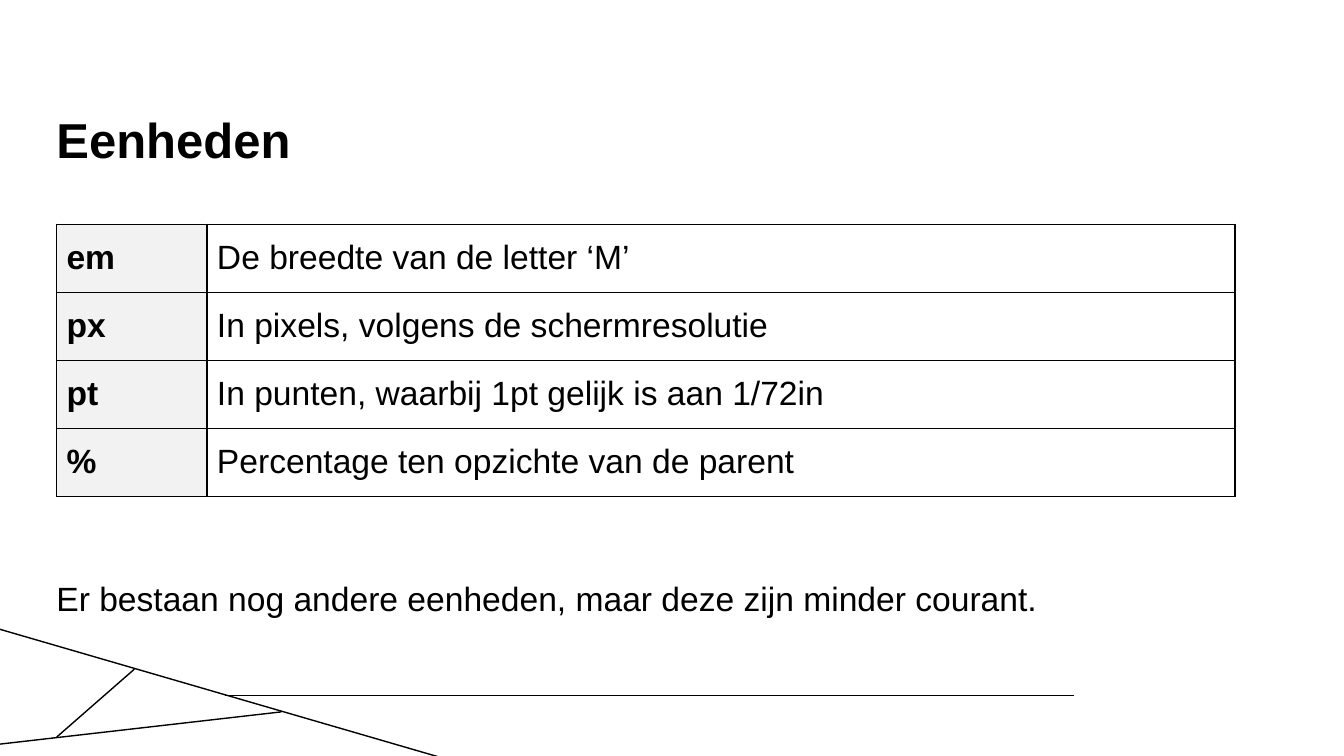
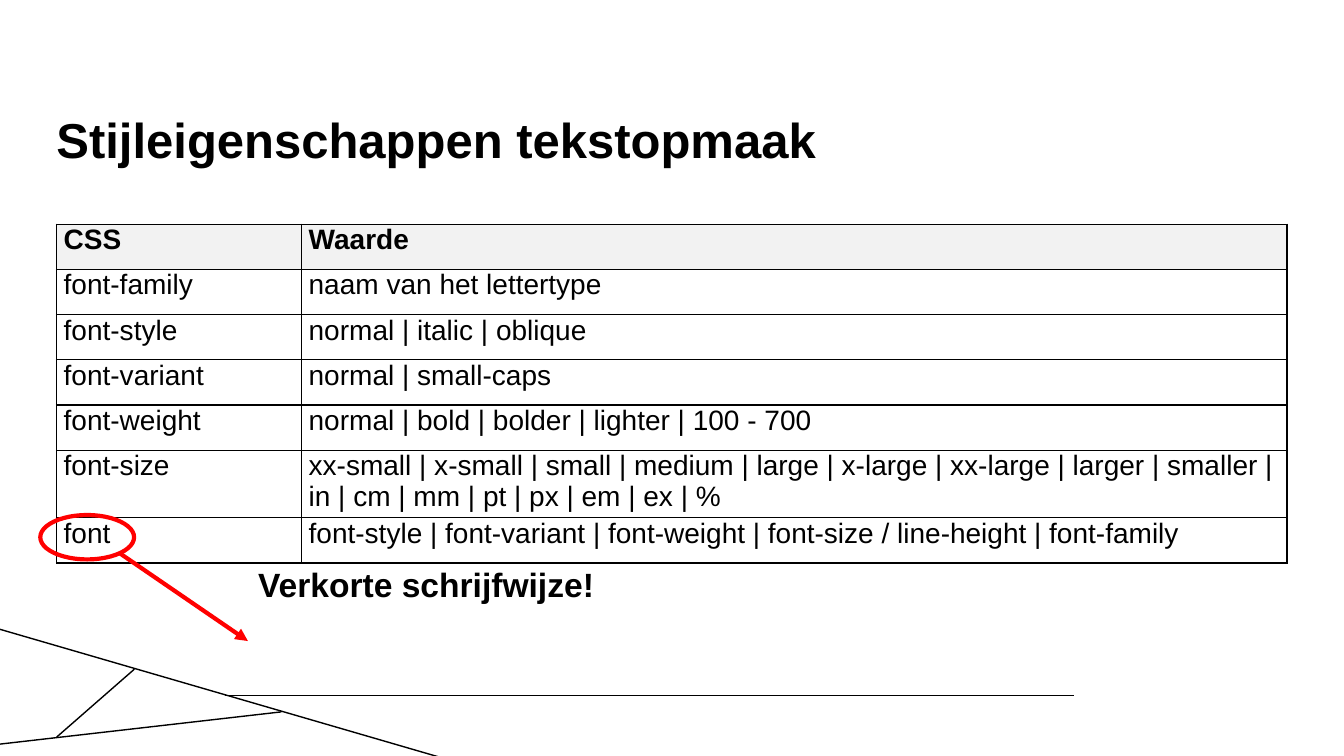
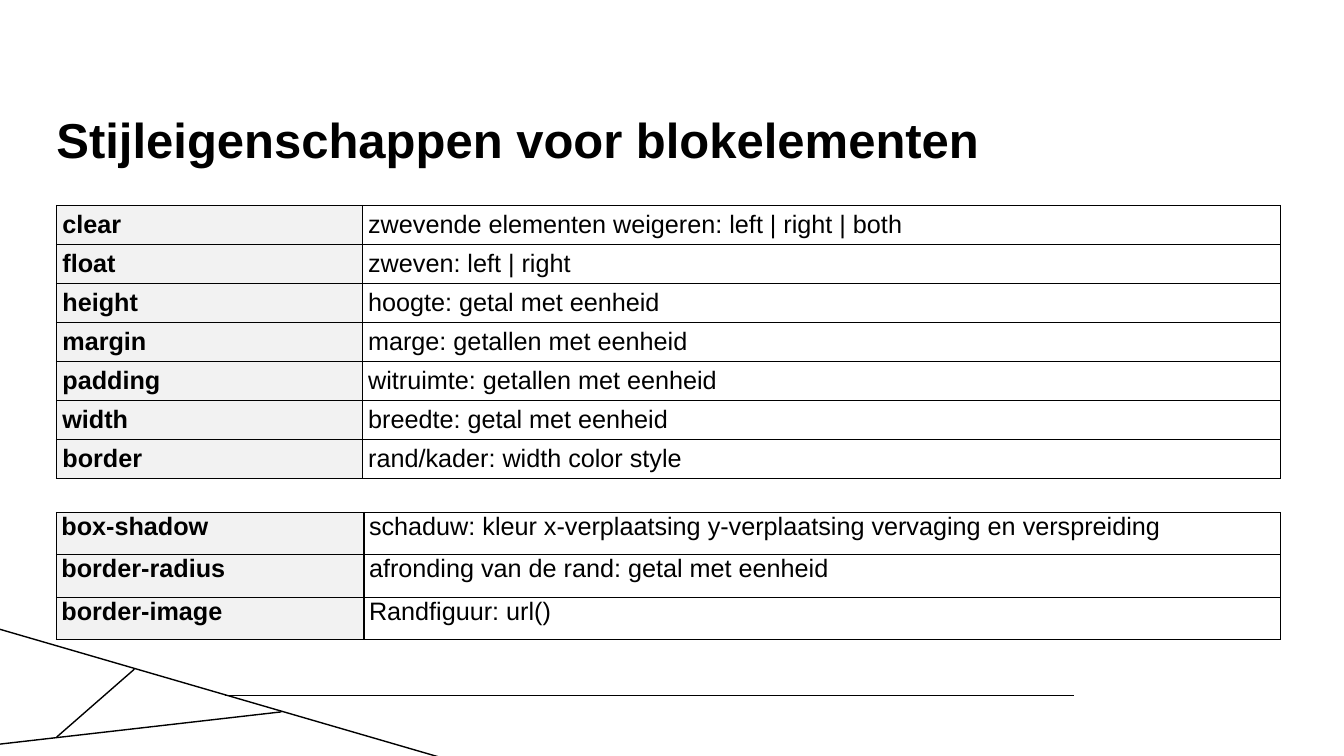
import lxml.etree
import pptx
import pptx.dml.color
import pptx.enum.shapes
import pptx.enum.text
import pptx.oxml
import pptx.oxml.ns
import pptx.util

Pt = pptx.util.Pt
ANCHOR = pptx.enum.text.MSO_ANCHOR


def color(hex_string):
    return pptx.dml.color.RGBColor.from_string(hex_string)


class Deck:
    """Holds the shared style and the slide being built."""
    FONT = "Arial"
    INK = "000000"
    LABEL_FILL = "F2F2F2"
    ACCENT = "FF0000"
    LEFT = 40.3
    CONTENT_WIDTH = 878.4
    BACKDROP_LINES = [
        (160.5, 497, 767.5, 497),
        (0, 531.5, 201, 508.5),
        (-3.5, 448.5, 318, 542),
        (96, 478, 40.5, 526.5),
    ]

    def __init__(self):
        self.presentation = pptx.Presentation()
        self.presentation.slide_width = Pt(960)
        self.presentation.slide_height = Pt(540)
        self.slide = None

    def new_slide(self, title):
        self.slide = self.presentation.slides.add_slide(self.presentation.slide_layouts[6])
        for ends in self.BACKDROP_LINES:
            self.line(*ends)
        self.text(title, self.LEFT, 82.8, self.CONTENT_WIDTH, 77, 35, bold=True, spacing=0.9)

    def style(self, paragraph, size, bold):
        font = paragraph.font
        font.name, font.size, font.bold = self.FONT, Pt(size), bold
        font.color.rgb = color(self.INK)

    def text(self, words, left, top, width, height, size=24, bold=False, spacing=1.0):
        box = self.slide.shapes.add_textbox(Pt(left), Pt(top), Pt(width), Pt(height))
        frame = box.text_frame
        frame.word_wrap = True
        frame.margin_left = frame.margin_right = frame.margin_top = frame.margin_bottom = 0
        paragraph = frame.paragraphs[0]
        paragraph.text = words
        paragraph.line_spacing = spacing
        self.style(paragraph, size, bold)

    def line(self, x1, y1, x2, y2, stroke=INK, weight=1, arrow=False):
        connector = self.slide.shapes.add_connector(
            pptx.enum.shapes.MSO_CONNECTOR.STRAIGHT, Pt(x1), Pt(y1), Pt(x2), Pt(y2))
        connector.line.color.rgb = color(stroke)
        connector.line.width = Pt(weight)
        properties = connector._element.spPr
        if arrow:
            outline = properties.get_or_add_ln()
            lxml.etree.SubElement(outline, pptx.oxml.ns.qn("a:tailEnd"), type="triangle")
        lxml.etree.SubElement(properties, pptx.oxml.ns.qn("a:effectLst"))

    def ring(self, left, top, width, height):
        shape = self.slide.shapes.add_shape(
            pptx.enum.shapes.MSO_SHAPE.OVAL, Pt(left), Pt(top), Pt(width), Pt(height))
        shape.shadow.inherit = False
        shape.fill.background()
        shape.line.color.rgb = color(self.ACCENT)
        shape.line.width = Pt(3)

    def border(self, cell):
        """Draw a thin line on all four sides of a cell."""
        properties = cell._tc.get_or_add_tcPr()
        for index, side in enumerate(("lnL", "lnR", "lnT", "lnB")):
            properties.insert(index, pptx.oxml.parse_xml(
                f'<a:{side} {pptx.oxml.ns.nsdecls("a")} w="12700"><a:solidFill>'
                f'<a:srgbClr val="{self.INK}"/></a:solidFill></a:{side}>'))

    def table(self, rows, top, widths, heights, size, side_margin, end_margin=0,
              anchor=ANCHOR.MIDDLE, header_row=False):
        """Shade and embolden the first row if header_row, else the first column."""
        frame = self.slide.shapes.add_table(
            len(rows), len(widths), Pt(self.LEFT), Pt(top), Pt(sum(widths)), Pt(sum(heights)))
        table = frame.table
        table.first_row = table.horz_banding = False
        for column, width in zip(table.columns, widths):
            column.width = Pt(width)
        for row, height in zip(table.rows, heights):
            row.height = Pt(height)
        for row_index, row in enumerate(rows):
            for column_index, words in enumerate(row):
                cell = table.cell(row_index, column_index)
                is_label = (row_index if header_row else column_index) == 0
                cell.text = words
                cell.vertical_anchor = anchor
                cell.margin_left = cell.margin_right = Pt(side_margin)
                cell.margin_top = cell.margin_bottom = Pt(end_margin)
                self.style(cell.text_frame.paragraphs[0], size, is_label)
                if is_label:
                    cell.fill.solid()
                    cell.fill.fore_color.rgb = color(self.LABEL_FILL)
                else:
                    cell.fill.background()
                self.border(cell)


def units_slide(deck):
    deck.new_slide("Eenheden")
    deck.text("Er bestaan nog andere eenheden, maar deze zijn minder courant.",
              deck.LEFT, 413, deck.CONTENT_WIDTH, 30)
    units = [
        ("em", "De breedte van de letter ‘M’"),
        ("px", "In pixels, volgens de schermresolutie"),
        ("pt", "In punten, waarbij 1pt gelijk is aan 1/72in"),
        ("%", "Percentage ten opzichte van de parent"),
    ]
    deck.table(units, 160.2, [107.5, 734.4], [48.6] * len(units), 24, 7.2, 3.6)


def text_properties_slide(deck):
    deck.new_slide("Stijleigenschappen tekstopmaak")
    deck.text("Verkorte schrijfwijze!", 184.3, 403, 400, 30, bold=True)
    properties = [
        ("CSS", "Waarde"),
        ("font-family", "naam van het lettertype"),
        ("font-style", "normal | italic | oblique"),
        ("font-variant", "normal | small-caps"),
        ("font-weight", "normal | bold | bolder | lighter | 100 - 700"),
        ("font-size", "xx-small | x-small | small | medium | large | x-large | xx-large | "
                      "larger | smaller | in | cm | mm | pt | px | em | ex | %"),
        ("font", "font-style | font-variant | font-weight | font-size / line-height | font-family"),
    ]
    heights = [48.3 if name == "font-size" else 32.3 for name, _ in properties]
    deck.table(properties, 160.2, [175, 704], heights, 20, 5.2,
               anchor=ANCHOR.TOP, header_row=True)
    deck.ring(28.8, 367.9, 67, 31.7)
    deck.line(85.7, 395.3, 177.1, 457.9, deck.ACCENT, 3, arrow=True)


def block_properties_slide(deck):
    deck.new_slide("Stijleigenschappen voor blokelementen")
    box_model = [
        ("clear", "zwevende elementen weigeren: left | right | both"),
        ("float", "zweven: left | right"),
        ("height", "hoogte: getal met eenheid"),
        ("margin", "marge: getallen met eenheid"),
        ("padding", "witruimte: getallen met eenheid"),
        ("width", "breedte: getal met eenheid"),
        ("border", "rand/kader: width color style"),
    ]
    decoration = [
        ("box-shadow", "schaduw: kleur x-verplaatsing y-verplaatsing vervaging en verspreiding"),
        ("border-radius", "afronding van de rand: getal met eenheid"),
        ("border-image", "Randfiguur: url()"),
    ]
    deck.table(box_model, 146.7, [218.4, 655.8], [27.87] * len(box_model), 18, 4.3)
    deck.table(decoration, 366, [219.7, 654.5], [30.3] * len(decoration), 18, 3.6,
               anchor=ANCHOR.TOP)


def main():
    deck = Deck()
    units_slide(deck)
    text_properties_slide(deck)
    block_properties_slide(deck)
    deck.presentation.save("out.pptx")


if __name__ == "__main__":
    main()
